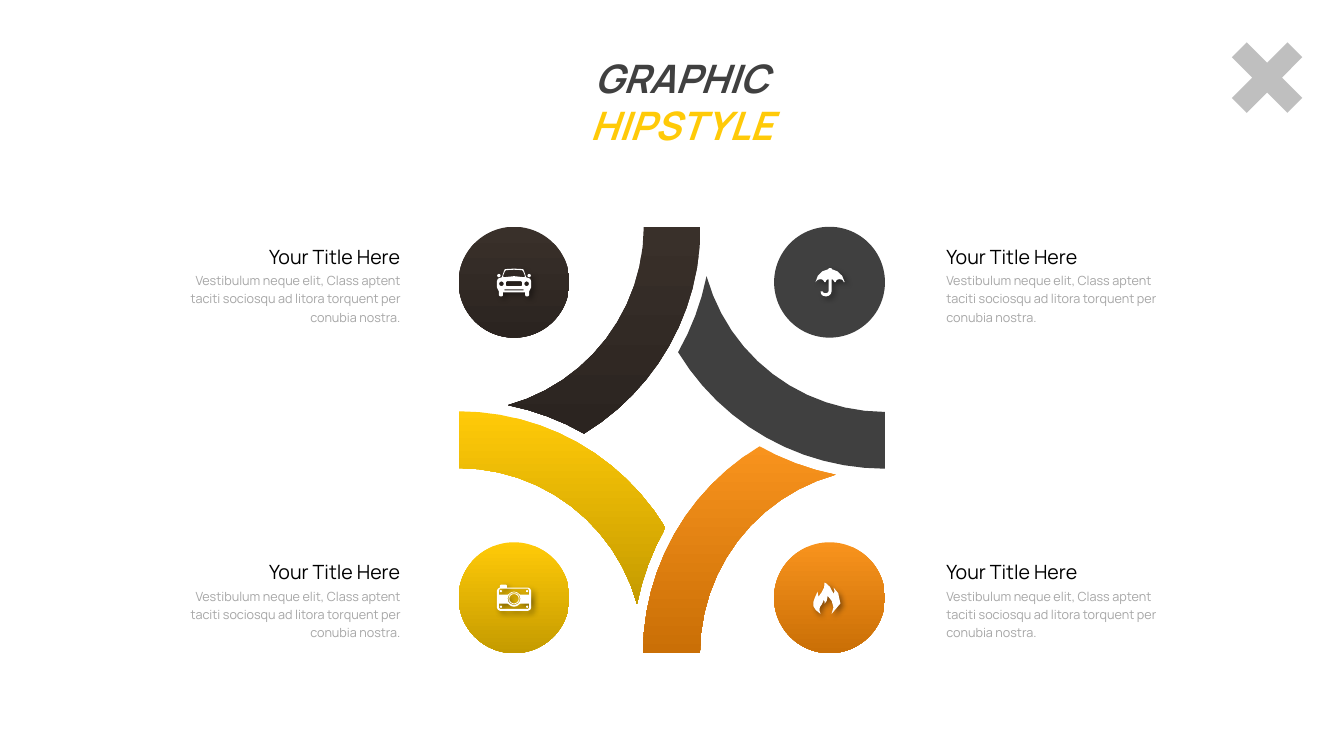
import math
import pptx
import pptx.dml.color
import pptx.enum.shapes
import pptx.enum.text
import pptx.oxml
import pptx.oxml.ns
import pptx.util

RGBColor = pptx.dml.color.RGBColor
MSO_SHAPE = pptx.enum.shapes.MSO_SHAPE
PP_ALIGN = pptx.enum.text.PP_ALIGN

WHITE = RGBColor(0xFF, 0xFF, 0xFF)
BLACK = RGBColor(0x00, 0x00, 0x00)
SILVER = RGBColor(0xBF, 0xBF, 0xBF)
GREY = RGBColor(0xA6, 0xA6, 0xA6)
CHARCOAL = RGBColor(0x40, 0x40, 0x40)
YELLOW = RGBColor(0xFF, 0xCA, 0x08)
GOLD = RGBColor(0xC5, 0x9B, 0x00)
ORANGE = RGBColor(0xF8, 0x93, 0x1D)
RUST = RGBColor(0xCA, 0x6F, 0x06)
BROWN = RGBColor(0x39, 0x30, 0x2A)
UMBER = RGBColor(0x2B, 0x24, 0x20)

HEADING = "Your Title Here"
BODY = ("Vestibulum neque elit, Class aptent taciti sociosqu ad litora "
        "torquent per conubia nostra.")

SHADOW = (
    '<a:outerShdw %s blurRad="50800" dist="38100" dir="2700000" algn="tl" rotWithShape="0">'
    '<a:srgbClr val="000000"><a:alpha val="40000"/></a:srgbClr></a:outerShdw>'
    % pptx.oxml.ns.nsdecls("a"))

# The slide is a grid of 160 columns by 90 rows of square cells
COLUMNS, ROWS = 160, 90
ICON_UNIT = 0.12

# Emblem: a square with one blade and one disc at each corner
SQUARE_LEFT, SQUARE_TOP, SQUARE_SIDE = 54.6, 27, 50.76
INNER, OUTER, CUT = 22.04, 28.8, 30.1
DISC_RADIUS = 6.6


def arc(cx, cy, radius, start, end, steps=12):
    """Points of a circular arc between two angles in radians."""
    angles = [start + (end - start) * i / steps for i in range(steps + 1)]
    return [(cx + radius * math.cos(a), cy + radius * math.sin(a)) for a in angles]


def circle(cx, cy, radius, steps):
    return arc(cx, cy, radius, 0, math.tau, steps)[:-1]


def outline(path_text, mirrored=False, steps=3):
    """Points of an M/L/C path; a mirrored path is completed across x = 0."""
    points, tokens = [], path_text.split()
    while tokens:
        command = tokens.pop(0)
        count = 6 if command == "C" else 2
        values = [float(token) for token in tokens[:count]]
        del tokens[:count]
        ends = list(zip(values[::2], values[1::2]))
        if command == "C":
            controls = [points[-1]] + ends
            for i in range(1, steps + 1):
                t = i / steps
                weights = [math.comb(3, k) * t**k * (1 - t)**(3 - k) for k in range(4)]
                points.append(tuple(sum(w * c[axis] for w, c in zip(weights, controls))
                                    for axis in (0, 1)))
        else:
            points += ends
    return points + [(-x, y) for x, y in reversed(points) if x] if mirrored else points


def blade():
    """Ring segment around the top-left corner, trimmed by the next corner's circle."""
    def crossing(radius):
        y = (radius**2 - CUT**2 + SQUARE_SIDE**2) / (2 * SQUARE_SIDE)
        return math.sqrt(radius**2 - y**2), y

    def angle(point, cy=0):
        return math.atan2(point[1] - cy, point[0])

    outer_tip, inner_tip = crossing(OUTER), crossing(INNER)
    return (arc(0, 0, OUTER, 0, angle(outer_tip))
            + arc(0, SQUARE_SIDE, CUT, angle(outer_tip, SQUARE_SIDE),
                  angle(inner_tip, SQUARE_SIDE), 4)[1:-1]
            + arc(0, 0, INNER, angle(inner_tip), 0))


# Icons, in hundredths of an inch around the disc's centre
CAR = [
    outline("M 0 -13.5 L 9 -13 L 10 -11 L 12 -5 L 16 -3.5 L 17 -1 L 17 5 L 15 9 "
            "L 15 13 L 14 14 L 12 14 L 11 13 L 11 10", True),
    outline("M 0 -12.4 L 8 -12 L 9 -11 L 11 -6 L 10 -5 L 0 -6", True),
    outline("M 7 -1 L 8 0 L 8 3 L 7 4", True),
    outline("M 9.5 7 L 9.5 8", True),
] + [circle(side * x, y, r, 8) for side in (-1, 1)
     for x, y, r in ((12.5, 1.5, 2.4), (15, -6.6, 1.7))]
UMBRELLA = [outline(
    "M 15 0 C 14 -7 8 -12 2 -13 L 2 -14 L -1 -14 L -1 -13 C -8 -12 -13 -7 -14 0 "
    "C -13 -2 -11 -3 -9 -3 C -7 -3 -6 -2 -5 0 L -4 0 C -4 -2 -2 -3 -1 -3 "
    "L -1 9 L -2 10.5 L -4 11 L -6 10.5 L -7 9 L -9 9 C -9 12 -7 14 -4 14 "
    "L -3 14 C -1 14 2 12 2 9 L 2 -3 C 3 -3 4 -2 5 0 L 6 0 "
    "C 6 -2 8 -3 10 -3 C 12 -3 14 -2 14 0")]
FLAME = [outline(
    "M -9 16 C -11 12 -10 9 -8 7 C -6 4 -6 2 -6 2 C -6 2 -4 4 -5 6 C -2 4 -2 -1 -2 -2 "
    "C 3 2 6 10 2 16 C 19 7 7 -8 4 -10 C 5 -8 5 -5 4 -4 C 1 -13 -5 -15 -5 -15 "
    "C -4 -10 -8 -5 -11 -1 L -12 -6 C -13 -3 -15 0 -16 4 C -17 9 -15 12 -9 16")]
CAMERA = [
    outline("M 14 -10 L -7 -10 L -7 -12 L -8 -13 L -13 -13 L -14 -12 L -14 -10 "
            "L -16 -9 L -17 -7 L -17 10 L -16 12 L -14 13 L 14 13 L 16 12 L 17 10 "
            "L 17 -7 L 16 -9"),
    outline("M 0 -6 L 3 -5.3 L 6 -3 L 15 -3 L 15 -7 L 14 -9", True),
    outline("M 0 9 L 3 8.3 L 6 6 L 15 6 L 15 10 L 14 11", True),
] + [circle(0, 1, r, 14) for r in (6.3, 5.5, 4.7)] + [
    circle(x, y, 1.2, 5) for x in (-13, 13) for y in (-6.5, 9)]


class Board:
    """Holds the typeface, the grid and the slide being drawn."""

    def __init__(self, deck, font):
        self.slide = deck.slides.add_slide(deck.slide_layouts[6])
        self.cell = deck.slide_width / COLUMNS
        self.font = font

    def span(self, *cells):
        return [round(n * self.cell) for n in cells]

    def paint(self, shape, colours):
        shape.shadow.inherit = False
        shape.line.fill.background()
        if len(colours) == 1:
            shape.fill.solid()
            shape.fill.fore_color.rgb = colours[0]
            return
        shape.fill.gradient()
        shape.fill.gradient_angle = 270
        for position, (stop, colour) in enumerate(zip(shape.fill.gradient_stops, colours)):
            stop.position = position
            stop.color.rgb = colour

    def preset(self, kind, left, top, size, *colours):
        shape = self.slide.shapes.add_shape(kind, *self.span(left, top, size, size))
        self.paint(shape, colours)
        return shape

    def freeform(self, contours, cx, cy, unit, *colours):
        placed = [[self.span(cx + x * unit, cy + y * unit) for x, y in contour]
                  for contour in contours]
        builder = self.slide.shapes.build_freeform(*placed[0][0])
        for number, contour in enumerate(placed):
            if number:
                builder.move_to(*contour[0])
            builder.add_line_segments(contour[1:], close=True)
        shape = builder.convert_to_shape()
        self.paint(shape, colours)
        return shape

    def icon(self, contours, cx, cy):
        shape = self.freeform(contours, cx, cy, ICON_UNIT, WHITE)
        effects = shape._element.spPr.find(pptx.oxml.ns.qn("a:effectLst"))
        effects.append(pptx.oxml.parse_xml(SHADOW))

    def text(self, left, top, width, height, parts, size, align, spacing=None, strong=None):
        frame = self.slide.shapes.add_textbox(*self.span(left, top, width, height)).text_frame
        frame.word_wrap = True
        frame.auto_size = pptx.enum.text.MSO_AUTO_SIZE.SHAPE_TO_FIT_TEXT
        paragraph = frame.paragraphs[0]
        paragraph.alignment = align
        paragraph.line_spacing = spacing
        for words, colour in parts:
            run = paragraph.add_run()
            run.text = words
            run.font.name = self.font
            run.font.size = pptx.util.Pt(size)
            run.font.bold = run.font.italic = strong
            run.font.color.rgb = colour


def main():
    deck = pptx.Presentation()
    deck.slide_width = pptx.util.Emu(12192000)
    deck.slide_height = deck.slide_width * ROWS // COLUMNS
    board = Board(deck, "Manrope")

    # Corner cross and slide title
    cross = board.preset(MSO_SHAPE.CROSS, 146.16, 4.56, 9.36, SILVER)
    cross.adjustments[0] = 0.366
    cross.rotation = 45
    board.text(58.56, 5.88, 45.12, 6.84, [("GRAPHIC", CHARCOAL), (" HIPSTYLE", YELLOW)],
               28, PP_ALIGN.CENTER, strong=True)

    # Clockwise from top left; each blade is a quarter turn from the last
    corners = [(0, 0, CAR, (BROWN, UMBER)), (1, 0, UMBRELLA, (CHARCOAL,)),
               (1, 1, FLAME, (ORANGE, RUST)), (0, 1, CAMERA, (YELLOW, GOLD))]
    segment = blade()
    for right, bottom, icon, colours in corners:
        corner_x = SQUARE_LEFT + right * SQUARE_SIDE
        corner_y = SQUARE_TOP + bottom * SQUARE_SIDE
        board.freeform([segment], corner_x, corner_y, 1, *colours)
        segment = [(-y, x) for x, y in segment]

        # Disc and icon
        cx = corner_x + (1 - 2 * right) * DISC_RADIUS
        cy = corner_y + (1 - 2 * bottom) * DISC_RADIUS
        board.preset(MSO_SHAPE.OVAL, cx - DISC_RADIUS, cy - DISC_RADIUS,
                     2 * DISC_RADIUS, *colours)
        board.icon(icon, cx, cy)

        # Caption beside the disc
        align = PP_ALIGN.LEFT if right else PP_ALIGN.RIGHT
        for words, colour, size, offset, width, height in (
                (HEADING, BLACK, 14, 0, 27.96, 4.56), (BODY, GREY, 9, 3.6, 27.48, 7.8)):
            left = 111.48 if right else 48.84 - width
            board.text(left, 27.96 + 37.56 * bottom + offset, width, height,
                       [(words, colour)], size, align, spacing=1.2)

    deck.save("out.pptx")


if __name__ == "__main__":
    main()
